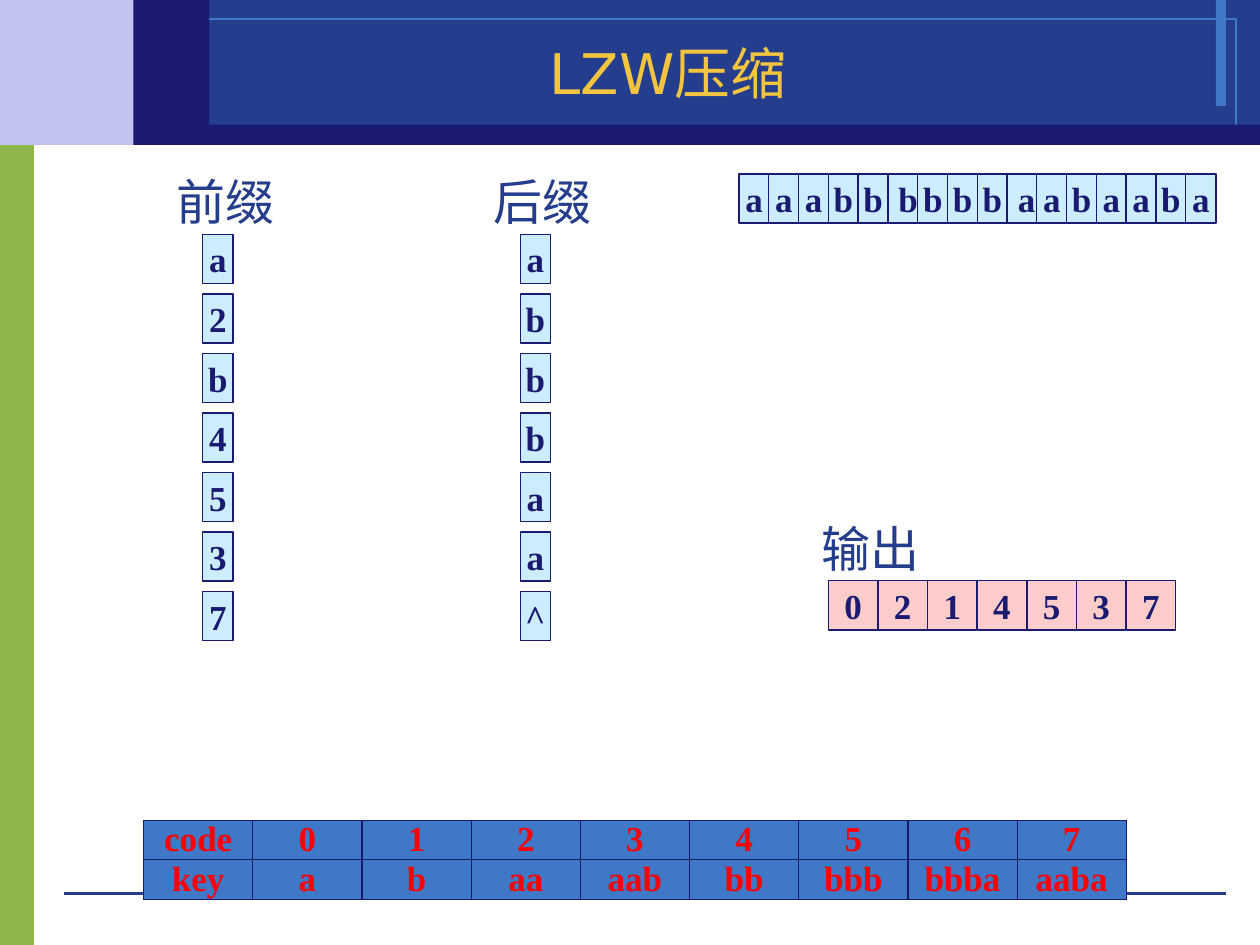
from lxml import etree
from pptx import Presentation
from pptx.dml.color import RGBColor
from pptx.enum import shapes, text
from pptx.oxml.ns import qn
from pptx.util import Inches, Pt

NAVY, BLUE, SKY = "1A1A70", "243D8C", "3E78C6"
CELL_FONT = {"name": "Times New Roman", "size": Pt(20), "bold": True}


def color(value):
    return RGBColor.from_string(value)


def add_box(page, left, top, width, height, fill=None, line=None, weight=0.75, label=None):
    box = page.shapes.add_shape(shapes.MSO_SHAPE.RECTANGLE, Inches(left), Inches(top),
                                Inches(width), Inches(height))
    box.shadow.inherit = False
    if fill:
        box.fill.solid()
        box.fill.fore_color.rgb = color(fill)
    else:
        box.fill.background()
    if line:
        box.line.color.rgb = color(line)
        box.line.width = Pt(weight)
    else:
        box.line.fill.background()
    if label:
        frame = box.text_frame
        frame.word_wrap = False
        frame.vertical_anchor = text.MSO_ANCHOR.MIDDLE
        para = frame.paragraphs[0]
        para.alignment = text.PP_ALIGN.CENTER
        span = para.add_run()
        span.text = label
        span.font.color.rgb = color(NAVY)
        for name, value in CELL_FONT.items():
            setattr(span.font, name, value)


deck = Presentation()
deck.slide_width, deck.slide_height = Inches(10), Inches(7.5)
page = deck.slides.add_slide(deck.slide_layouts[5])

# Background bands and frame
add_box(page, 0, 1.07, 0.27, 6.44, "90B54D")
add_box(page, 0, 0, 1.53, 1.15, "C3C3F1")
add_box(page, 1.53, 0, 8.47, 1.15, BLUE)
add_box(page, 9.65, 0, 0.08, 0.84, SKY)
add_box(page, 1.19, 0.15, 8.62, 0.85, line=SKY, weight=0)
rule = page.shapes.add_connector(shapes.MSO_CONNECTOR.STRAIGHT, Inches(0.51), Inches(7.09),
                                 Inches(9.73), Inches(7.09))
rule.line.color.rgb = color(BLUE)
rule.line.width = Pt(0)
etree.SubElement(rule._element.spPr, qn("a:effectLst"))
add_box(page, 1.3, 0.99, 8.7, 0.16, NAVY)
add_box(page, 1.06, 0, 0.6, 1.15, NAVY)

# Title, brought in front of the bands
title = page.shapes.title
page.shapes._spTree.append(title._element)
title.left, title.top, title.width, title.height = map(Inches, (1.19, 0.26, 8.23, 0.62))
title.text_frame.text = "LZW压缩"
title.text_frame.vertical_anchor = text.MSO_ANCHOR.MIDDLE
para = title.text_frame.paragraphs[0]
para.alignment = text.PP_ALIGN.CENTER
span = para.runs[0]
span.font.color.rgb = color("F3C43F")
for name, value in {"name": "DejaVu Sans", "size": Pt(32)}.items():
    setattr(span.font, name, value)

# Output codes
for i, code in enumerate("0214537"):
    add_box(page, 6.575 + i * 0.394, 4.61, 0.39, 0.39, "FFCCCC", NAVY, label=code)

# Input string; two cells run wider beneath their right neighbour
wide_cells = {5: 0.32, 9: 0.31}
for i, letter in enumerate("aaabbbbbbaabaaba"):
    add_box(page, 5.866 + i * 0.2363, 1.38, wide_cells.get(i, 0.24), 0.39,
            "CCECFF", NAVY, label=letter)

# Code table
rows = ["code 0 1 2 3 4 5 6 7".split(), "key a b aa aab bb bbb bbba aaba".split()]
table = page.shapes.add_table(2, 9, Inches(1.14), Inches(6.51), Inches(7.8), Inches(0.63)).table
table.first_row = table.horz_banding = False
for column in table.columns:
    column.width = Inches(7.8 / 9)
for r, words in enumerate(rows):
    table.rows[r].height = Inches(0.315)
    for c, word in enumerate(words):
        cell = table.cell(r, c)
        cell.text = word
        cell.fill.solid()
        cell.fill.fore_color.rgb = color(SKY)
        cell.vertical_anchor = text.MSO_ANCHOR.MIDDLE
        for side in ("left", "right", "top", "bottom"):
            setattr(cell, "margin_" + side, 0)
        para = cell.text_frame.paragraphs[0]
        para.alignment = text.PP_ALIGN.CENTER
        span = para.runs[0]
        span.font.color.rgb = color("FF0000")
        for name, value in CELL_FONT.items():
            setattr(span.font, name, value)
        properties = cell._tc.get_or_add_tcPr()
        for i, tag in enumerate(("a:lnL", "a:lnR", "a:lnT", "a:lnB")):
            border = etree.Element(qn(tag), w=str(Pt(0.75)))
            solid = etree.SubElement(border, qn("a:solidFill"))
            etree.SubElement(solid, qn("a:srgbClr"), val=NAVY)
            properties.insert(i, border)

# Headings
for left, top, heading in ((1.3, 1.31, "前缀"), (3.82, 1.31, "后缀"), (6.42, 4.06, "输出")):
    box = page.shapes.add_textbox(Inches(left), Inches(top), Inches(1.18), Inches(0.57))
    frame = box.text_frame
    frame.word_wrap = True
    frame.auto_size = text.MSO_AUTO_SIZE.SHAPE_TO_FIT_TEXT
    frame.vertical_anchor = text.MSO_ANCHOR.BOTTOM
    span = frame.paragraphs[0].add_run()
    span.text = heading
    span.font.color.rgb = color(BLUE)
    for name, value in {"name": "Arial", "size": Pt(28)}.items():
        setattr(span.font, name, value)

# Prefix and suffix columns
for left, letters in ((1.61, "a2b4537"), (4.13, "abbbaa^")):
    for i, letter in enumerate(letters):
        add_box(page, left, 1.86 + i * 0.4725, 0.24, 0.39, "CCECFF", NAVY, label=letter)

deck.save("out.pptx")
